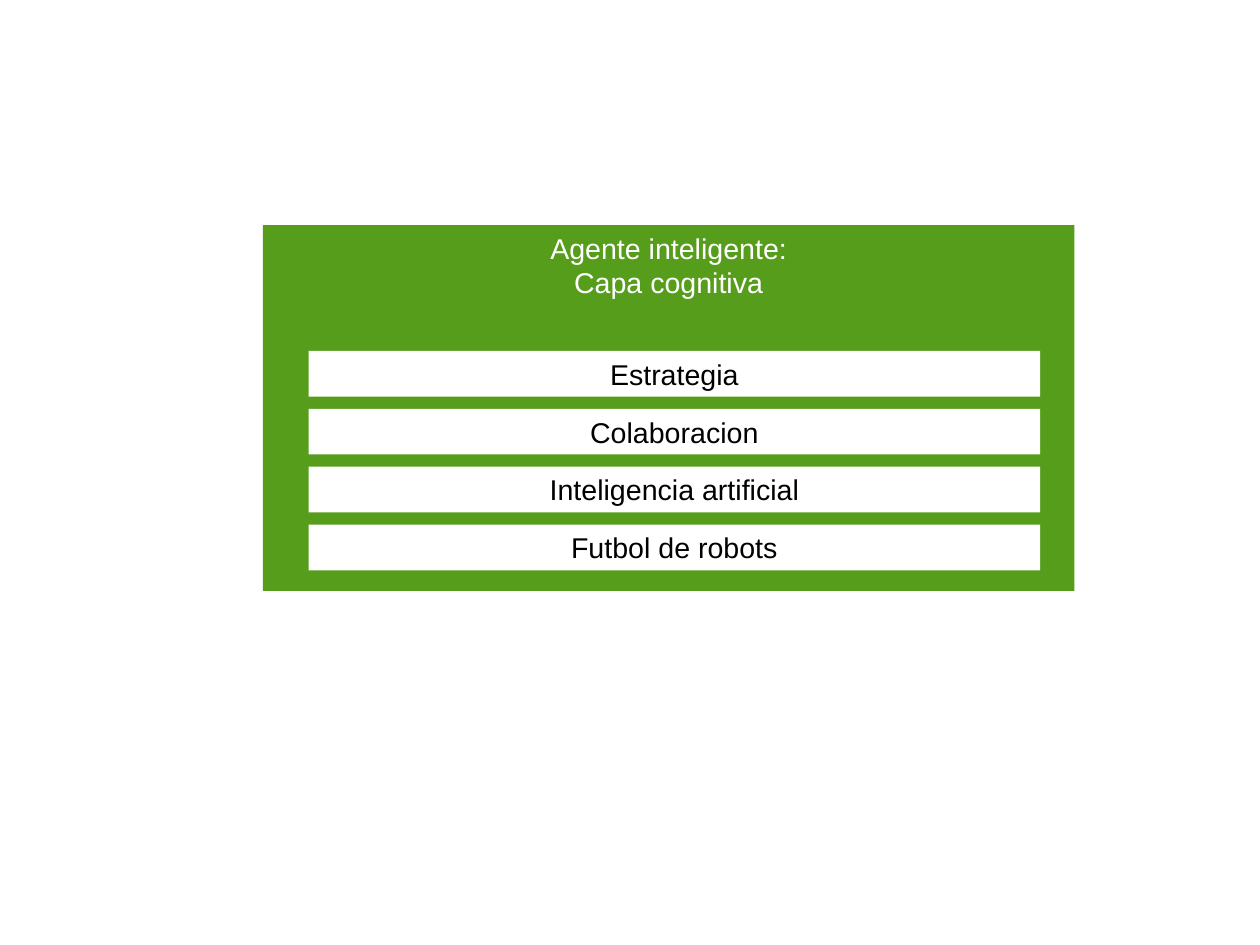
from pptx import Presentation
from pptx.dml.color import RGBColor
from pptx.enum.shapes import MSO_SHAPE
from pptx.enum.text import MSO_ANCHOR, PP_ALIGN
from pptx.util import Inches, Pt

CM_PER_INCH = 2.54
GREEN = "579D1C"
WHITE = "FFFFFF"
BLACK = "000000"
LAYERS = ["Estrategia", "Colaboracion", "Inteligencia artificial", "Futbol de robots"]
FIRST_LAYER_TOP = 3.07
LAST_LAYER_TOP = 4.59


def color(value):
    return RGBColor.from_string(value)


def write_text(shape, lines, *, font="Arial", size=18, text_color=BLACK,
               anchor=MSO_ANCHOR.MIDDLE):
    frame = shape.text_frame
    frame.word_wrap = False
    frame.vertical_anchor = anchor
    frame.text = "\n".join(lines)
    for paragraph in frame.paragraphs:
        paragraph.alignment = PP_ALIGN.CENTER
        for run in paragraph.runs:
            run.font.name = font
            run.font.size = Pt(size)
            run.font.color.rgb = color(text_color)


def add_box(slide, left, top, width, height, fill):
    shape = slide.shapes.add_shape(MSO_SHAPE.RECTANGLE, Inches(left), Inches(top),
                                   Inches(width), Inches(height))
    shape.shadow.inherit = False
    shape.fill.solid()
    shape.fill.fore_color.rgb = color(fill)
    shape.line.fill.background()
    return shape


def main():
    presentation = Presentation()
    presentation.slide_width = Inches(28 / CM_PER_INCH)
    presentation.slide_height = Inches(21 / CM_PER_INCH)
    slide = presentation.slides.add_slide(presentation.slide_layouts[6])

    agent = add_box(slide, 2.3, 1.97, 7.1, 3.2, GREEN)
    write_text(agent, ["Agente inteligente:", "Capa cognitiva"],
               text_color=WHITE, anchor=MSO_ANCHOR.TOP)

    layer_step = (LAST_LAYER_TOP - FIRST_LAYER_TOP) / (len(LAYERS) - 1)
    for index, name in enumerate(LAYERS):
        layer = add_box(slide, 2.7, FIRST_LAYER_TOP + index * layer_step, 6.4, 0.4, WHITE)
        write_text(layer, [name])

    presentation.save("out.pptx")


if __name__ == "__main__":
    main()
